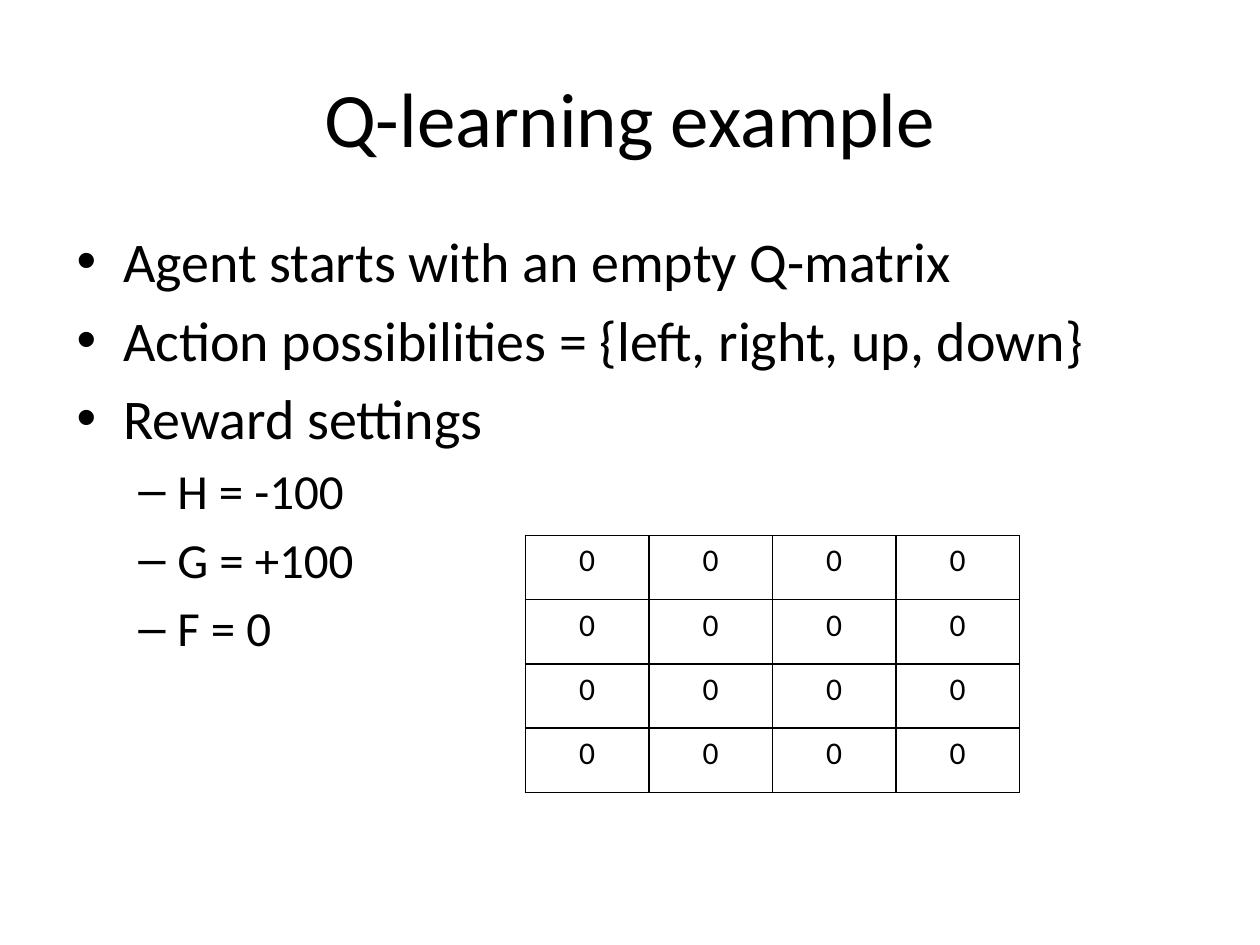
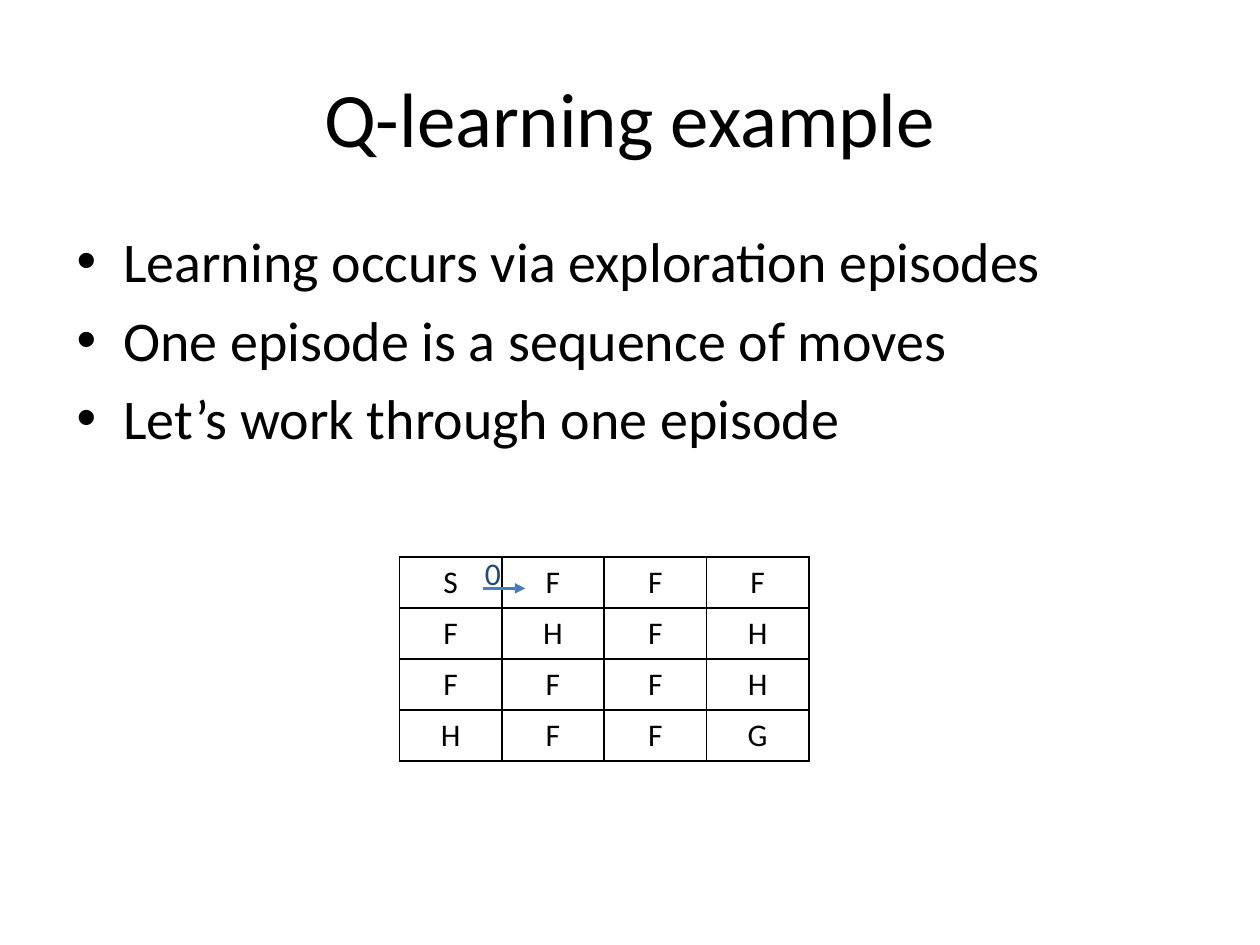
import pptx
import pptx.dml.color
import pptx.enum.shapes
import pptx.enum.text
import pptx.oxml
import pptx.oxml.ns
import pptx.util
from lxml import etree

Inches = pptx.util.Inches
Pt = pptx.util.Pt
RGBColor = pptx.dml.color.RGBColor
PP_ALIGN = pptx.enum.text.PP_ALIGN
MSO_ANCHOR = pptx.enum.text.MSO_ANCHOR
qn = pptx.oxml.ns.qn

# Shared style
FONT = "Calibri"
BLACK = RGBColor(0x00, 0x00, 0x00)
NAVY = RGBColor(0x1F, 0x49, 0x7D)
ARROW_BLUE = RGBColor(0x4A, 0x7E, 0xBB)
TITLE = "Q-learning example"
GRID_LINE_PT = 0.96

# Per outline level: bullet, text size, space before, left margin, hanging indent
LEVELS = [
    ("•", 32, 6.4, 0.38, -0.37),
    ("–", 28, 5.6, 0.81, -0.31),
]


def add_run(paragraph, text, size, color=BLACK):
    run = paragraph.add_run()
    run.text = text
    run.font.name = FONT
    run.font.size = Pt(size)
    run.font.color.rgb = color


def add_text_frame(slide, left, top, width, height):
    box = slide.shapes.add_textbox(
        Inches(left), Inches(top), Inches(width), Inches(height))
    box.text_frame.word_wrap = True
    return box.text_frame


def add_title(slide):
    frame = add_text_frame(slide, 0.5, 0.3, 9, 1.25)
    frame.vertical_anchor = MSO_ANCHOR.MIDDLE
    heading = frame.paragraphs[0]
    heading.alignment = PP_ALIGN.CENTER
    add_run(heading, TITLE, 44)


def set_bullet(paragraph, mark, margin, indent):
    props = paragraph._p.get_or_add_pPr()
    props.set("marL", str(Inches(margin)))
    props.set("indent", str(Inches(indent)))
    color = etree.SubElement(props, qn("a:buClr"))
    etree.SubElement(color, qn("a:srgbClr"), val=str(BLACK))
    etree.SubElement(props, qn("a:buFont"), typeface="Arial")
    etree.SubElement(props, qn("a:buChar"), char=mark)


def add_outline(slide, points):
    """Write (level, text) points as a bulleted list."""
    frame = add_text_frame(slide, 0.5, 1.75, 9, 4.95)
    for i, (level, text) in enumerate(points):
        point = frame.add_paragraph() if i else frame.paragraphs[0]
        mark, size, gap, margin, indent = LEVELS[level]
        point.level = level
        point.space_before = Pt(gap)
        set_bullet(point, mark, margin, indent)
        add_run(point, text, size)


def add_cell_borders(cell):
    props = cell._tc.get_or_add_tcPr()
    for side in ("lnL", "lnR", "lnT", "lnB"):
        line = etree.SubElement(
            props, qn(f"a:{side}"), w=str(Pt(GRID_LINE_PT)))
        fill = etree.SubElement(line, qn("a:solidFill"))
        etree.SubElement(fill, qn("a:srgbClr"), val=str(BLACK))


def add_grid(slide, rows, left, top, width, height):
    """Draw a bordered table with one letter or digit per cell."""
    grid = slide.shapes.add_table(
        len(rows), len(rows[0]),
        Inches(left), Inches(top), Inches(width), Inches(height)).table
    grid.first_row = False
    grid.horz_banding = False
    for r, row in enumerate(rows):
        for c, value in enumerate(row):
            cell = grid.cell(r, c)
            add_cell_borders(cell)
            cell.fill.background()
            entry = cell.text_frame.paragraphs[0]
            entry.alignment = PP_ALIGN.CENTER
            add_run(entry, value, 18)


def add_move(slide, left, right, y, q_value):
    """Draw a move to the right, with its Q-value above the arrow."""
    arrow = slide.shapes.add_connector(
        pptx.enum.shapes.MSO_CONNECTOR.STRAIGHT,
        Inches(left), Inches(y), Inches(right), Inches(y))
    arrow.line.color.rgb = ARROW_BLUE
    arrow.line.width = Pt(2)
    etree.SubElement(
        arrow.line._get_or_add_ln(), qn("a:tailEnd"), type="triangle")
    etree.SubElement(arrow._element.spPr, qn("a:effectLst"))

    label = add_text_frame(slide, left - 0.08, y - 0.32, 0.33, 0.4)
    add_run(label.paragraphs[0], q_value, 18, NAVY)


def add_slide(deck, points):
    slide = deck.slides.add_slide(deck.slide_layouts[6])
    add_title(slide)
    add_outline(slide, points)
    return slide


def main():
    deck = pptx.Presentation()
    deck.slide_width = Inches(10)
    deck.slide_height = Inches(7.5)

    # Slide 1: starting conditions and the empty Q-matrix
    setup = add_slide(deck, [
        (0, "Agent starts with an empty Q-matrix"),
        (0, "Action possibilities = {left, right, up, down}"),
        (0, "Reward settings"),
        (1, "H = -100"),
        (1, "G = +100"),
        (1, "F = 0"),
    ])
    add_grid(setup, ["0000"] * 4, 4.17, 4.25, 3.92, 2.04)

    # Slide 2: the map of states and the first move
    episode = add_slide(deck, [
        (0, "Learning occurs via exploration episodes"),
        (0, "One episode is a sequence of moves"),
        (0, "Let’s work through one episode"),
    ])
    add_grid(episode, ["SFFF", "FHFH", "FFFH", "HFFG"], 3.17, 4.42, 3.25, 1.62)
    add_move(episode, 3.83, 4.17, 4.67, "0")

    deck.save("out.pptx")


if __name__ == "__main__":
    main()
